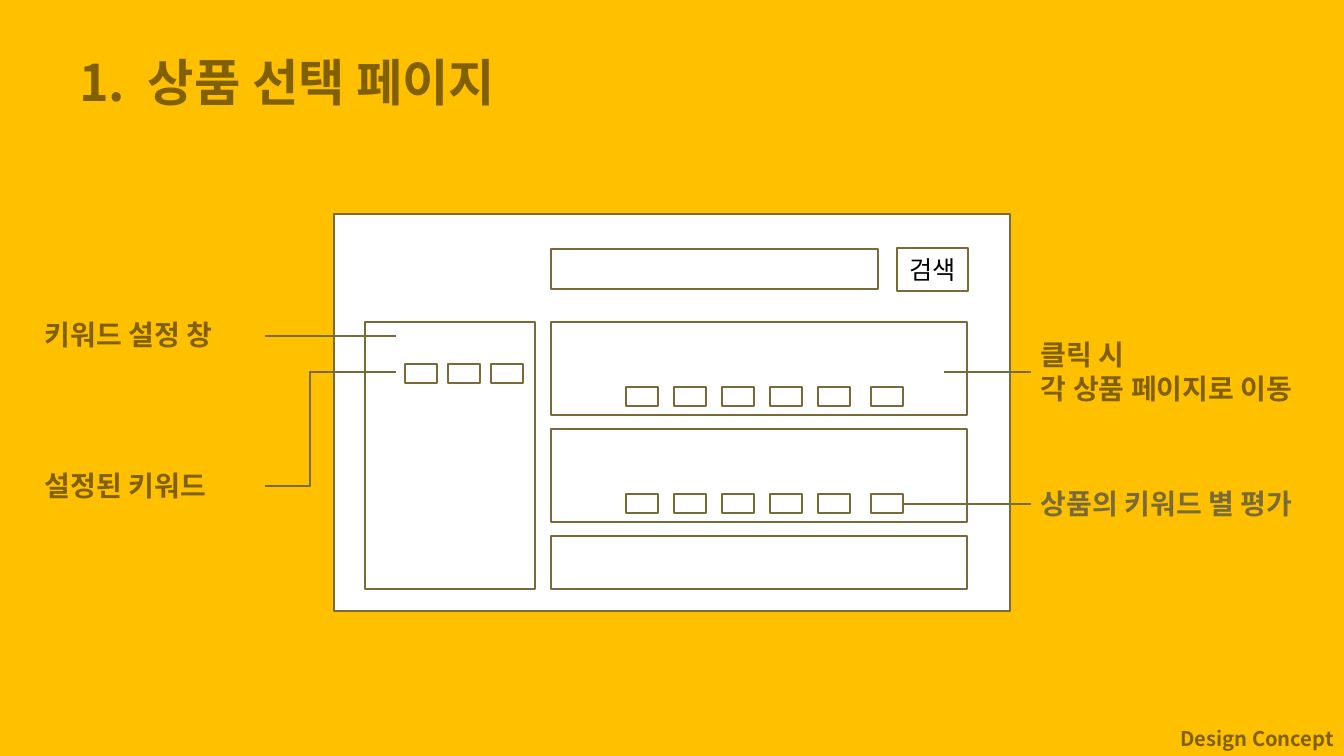
from dataclasses import dataclass

from lxml import etree
from pptx import Presentation
from pptx import util as u
from pptx.dml.color import RGBColor
from pptx.enum import shapes, text
from pptx.oxml.ns import qn


@dataclass(frozen=True)
class Theme:
    font: str = "Noto Sans CJK KR"
    yellow: str = "FFC000"
    white: str = "FFFFFF"
    black: str = "000000"
    brown: str = "806000"
    outline: str = "796A3A"
    heading: float = 36
    label: float = 20
    button: float = 18
    footer: float = 14.4
    box_line: float = 1
    callout_line: float = 1.25


THEME = Theme()
PX = 914400 / 100.8
SLIDE_SIZE = (1344, 756)

# Content: boxes are (left, top, width, height) in px
HEADING = ("1.", "상품 선택 페이지")
HEADING_BOX = (69, 46, 590, 72)
HEADING_GAP = 8  # extra points after the number
FOOTER = "Design Concept"
FOOTER_BOX = (1170, 720, 174, 36)
SEARCH = "검색"
SEARCH_BOX = (897, 248, 71, 43)

FRAMES = [
    (334, 214, 676, 397),  # browser window
    (551, 249, 327, 40),   # search field
    (365, 322, 170, 267),  # keyword panel
]
CARD_LEFT, CARD_WIDTH = 551, 416
CARDS = [(322, 93), (429, 93), (536, 53)]  # top, height

TAG_SIZE = (32, 19)
PANEL_TAGS = [(405 + 43 * i, 364) for i in range(3)]
CARD_TAG_LEFTS = [626 + 48 * i for i in range(5)] + [871]
CARD_TAGS = [(left, top) for top in (387, 494) for left in CARD_TAG_LEFTS]

LABELS = [
    (["키워드 설정 창"], (35, 313, 230, 44), THEME.brown),
    (["설정된 키워드"], (35, 464, 230, 44), THEME.brown),
    (["클릭 시", "각 상품 페이지로 이동"], (1031, 333, 313, 78), THEME.brown),
    (["상품의 키워드 별 평가"], (1031, 482, 313, 44), THEME.outline),
]
STRAIGHT, ELBOW = shapes.MSO_CONNECTOR.STRAIGHT, shapes.MSO_CONNECTOR.ELBOW
CALLOUTS = [
    (STRAIGHT, (265, 336), (396, 336)),
    (ELBOW, (265, 486), (396, 372)),
    (STRAIGHT, (944, 372), (1031, 372)),
    (STRAIGHT, (903, 504), (1031, 504)),
]
ELBOW_BEND = 34500  # share of the width, in 1/100000


def emu(*lengths):
    return [u.Emu(round(length * PX)) for length in lengths]


def add_run(paragraph, words, size, color, bold=True):
    run = paragraph.add_run()
    run.text = words
    run.font.size = u.Pt(size)
    run.font.bold = bold
    run.font.name = THEME.font
    run.font.color.rgb = RGBColor.from_string(color)
    east_asian = etree.SubElement(run.font._element, qn("a:ea"))
    east_asian.set("typeface", THEME.font)
    return run


def add_box(slide, box, fill, line=None):
    shape = slide.shapes.add_shape(shapes.MSO_SHAPE.RECTANGLE, *emu(*box))
    shape.shadow.inherit = False
    shape.fill.solid()
    shape.fill.fore_color.rgb = RGBColor.from_string(fill)
    if line:
        shape.line.color.rgb = RGBColor.from_string(line)
        shape.line.width = u.Pt(THEME.box_line)
    else:
        shape.line.fill.background()
    return shape


def place_text(shape, box, anchor, wrap=True):
    shape.left, shape.top, shape.width, shape.height = emu(*box)
    frame = shape.text_frame
    frame.auto_size = text.MSO_AUTO_SIZE.NONE
    frame.vertical_anchor = anchor
    frame.word_wrap = wrap
    return frame


def add_heading(slide):
    frame = place_text(slide.shapes.title, HEADING_BOX, text.MSO_ANCHOR.TOP)
    paragraph = frame.paragraphs[0]
    paragraph.alignment = text.PP_ALIGN.JUSTIFY
    number, name = HEADING
    add_run(paragraph, number, THEME.heading, THEME.brown)
    gap = add_run(paragraph, " ", THEME.heading, THEME.brown)
    gap.font._element.set("spc", str(HEADING_GAP * 100))
    add_run(paragraph, name, THEME.heading, THEME.brown)


def add_footer(slide):
    shape = slide.shapes.add_textbox(*emu(*FOOTER_BOX))
    frame = place_text(shape, FOOTER_BOX, text.MSO_ANCHOR.BOTTOM, wrap=False)
    paragraph = frame.paragraphs[0]
    paragraph.alignment = text.PP_ALIGN.CENTER
    paragraph.line_spacing = 1.5
    add_run(paragraph, FOOTER, THEME.footer, THEME.brown)


def add_label(slide, lines, box, color):
    shape = add_box(slide, box, THEME.yellow)
    frame = place_text(shape, box, text.MSO_ANCHOR.TOP)
    for index, line in enumerate(lines):
        paragraph = frame.add_paragraph() if index else frame.paragraphs[0]
        paragraph.alignment = text.PP_ALIGN.LEFT
        add_run(paragraph, line, THEME.label, color)


def add_callout(slide, kind, start, end):
    connector = slide.shapes.add_connector(kind, *emu(*start, *end))
    connector.line.color.rgb = RGBColor.from_string(THEME.outline)
    connector.line.width = u.Pt(THEME.callout_line)
    properties = connector._element.spPr
    etree.SubElement(properties, qn("a:effectLst"))
    if kind == ELBOW:
        adjustments = properties.find(".//" + qn("a:avLst"))
        guide = etree.SubElement(adjustments, qn("a:gd"))
        guide.set("name", "adj1")
        guide.set("fmla", f"val {ELBOW_BEND}")


def main():
    presentation = Presentation()
    presentation.slide_width, presentation.slide_height = emu(*SLIDE_SIZE)
    slide = presentation.slides.add_slide(presentation.slide_layouts[5])
    slide.background.fill.solid()
    slide.background.fill.fore_color.rgb = RGBColor.from_string(THEME.yellow)

    # Heading and footer
    add_heading(slide)
    add_footer(slide)

    # Page wireframe, from back to front
    cards = [(CARD_LEFT, top, CARD_WIDTH, height) for top, height in CARDS]
    tags = [(*corner, *TAG_SIZE) for corner in PANEL_TAGS + CARD_TAGS]
    for box in FRAMES + cards + tags:
        add_box(slide, box, THEME.white, THEME.outline)

    # Search button
    button = add_box(slide, SEARCH_BOX, THEME.white, THEME.outline)
    frame = place_text(button, SEARCH_BOX, text.MSO_ANCHOR.MIDDLE, wrap=False)
    frame.paragraphs[0].alignment = text.PP_ALIGN.CENTER
    add_run(frame.paragraphs[0], SEARCH, THEME.button, THEME.black, bold=False)

    # Labels and their callout lines
    for label in LABELS:
        add_label(slide, *label)
    for callout in CALLOUTS:
        add_callout(slide, *callout)

    presentation.save("out.pptx")


if __name__ == "__main__":
    main()
